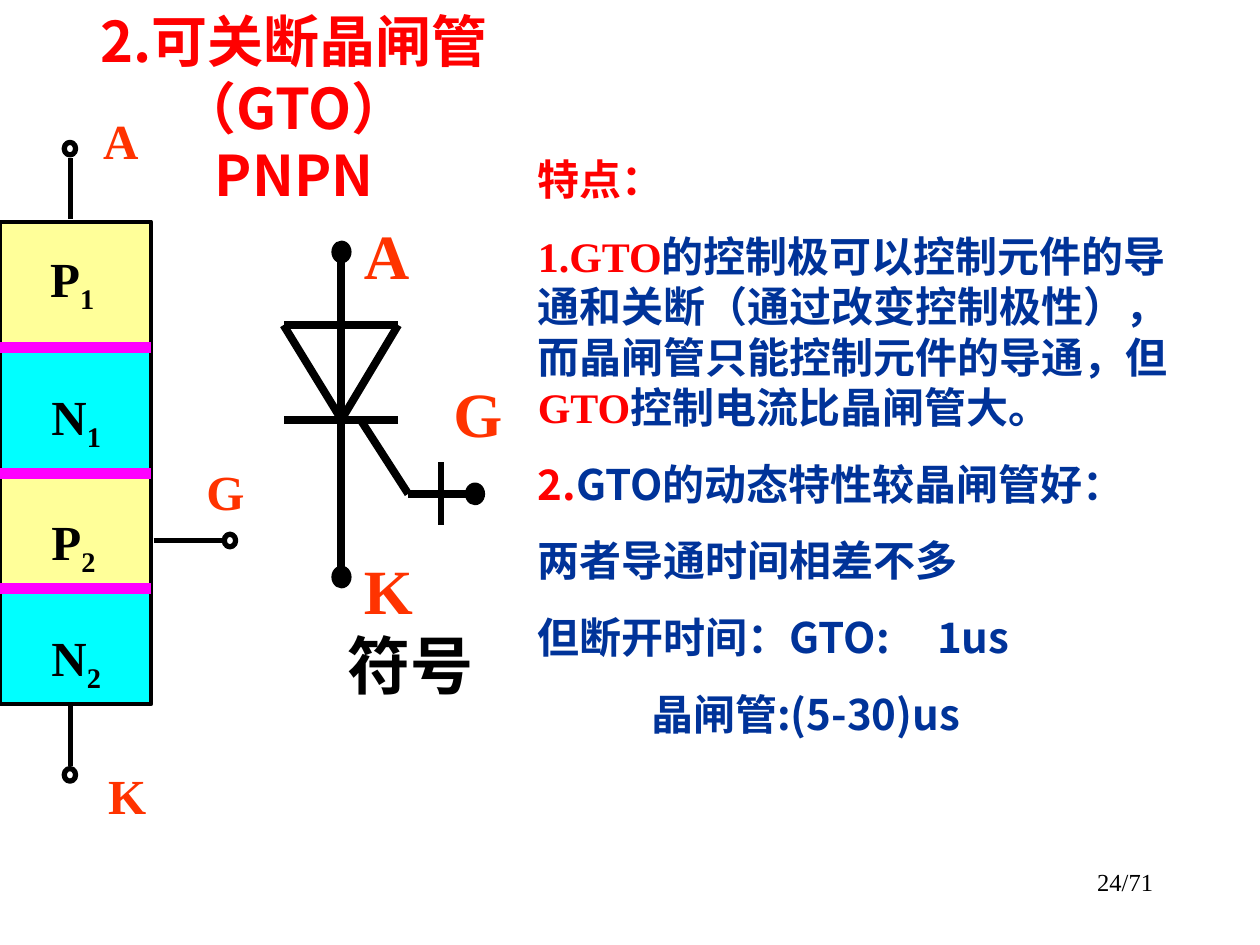
from lxml import etree
from pptx import Presentation
from pptx import util as u
from pptx.dml.color import RGBColor
from pptx.enum import shapes, text
from pptx.oxml.ns import qn

COLORS = {
    "black": "000000", "red": "FF0000", "label": "FF3300", "blue": "003399",
    "p_layer": "FFFF99", "n_layer": "00FFFF", "junction": "FF00FF",
}
LATIN, CJK = "Times New Roman", "Noto Sans CJK SC"


def rgb(name):
    return RGBColor.from_string(COLORS[name])


def write(para, words, size=28, color="black", font=LATIN, bold=True, baseline=None):
    """Add one formatted span to a paragraph."""
    span = para.add_run()
    span.text = words
    span.font.size = u.Pt(size)
    span.font.bold = bold
    span.font.color.rgb = rgb(color)
    span.font.name = font
    props = span.font._element
    etree.SubElement(props, qn("a:ea")).set("typeface", CJK)
    if baseline is not None:
        props.set("baseline", str(baseline * 1000))


class Diagram:
    """Holds the current slide and draws each kind of element on it."""

    def __init__(self, page):
        self.page = page

    def place(self, item, left, top, width, height):
        item.left, item.top = u.Inches(left), u.Inches(top)
        item.width, item.height = u.Inches(width), u.Inches(height)

    def title(self, lines, left, top, width, height, **style):
        box = self.page.shapes.title
        self.place(box, left, top, width, height)
        frame = box.text_frame
        frame.vertical_anchor = text.MSO_ANCHOR.TOP
        frame.auto_size = text.MSO_AUTO_SIZE.NONE
        for index, line in enumerate(lines):
            para = frame.paragraphs[0] if index == 0 else frame.add_paragraph()
            para.alignment = text.PP_ALIGN.CENTER
            write(para, line, **style)

    def text_box(self, left, top, width, height, wrap=True):
        box = self.page.shapes.add_textbox(*map(u.Inches, (left, top, width, height)))
        box.text_frame.word_wrap = wrap
        if not wrap:
            box.text_frame.auto_size = text.MSO_AUTO_SIZE.SHAPE_TO_FIT_TEXT
        return box

    def label(self, words, left, top, width, height, sub=None, wrap=False, **style):
        box = self.text_box(left, top, width, height, wrap)
        para = box.text_frame.paragraphs[0]
        write(para, words, **style)
        if sub:
            write(para, sub, baseline=-25, **style)

    def shape(self, kind, left, top, width, height, fill=None, weight=2.25):
        item = self.page.shapes.add_shape(kind, *map(u.Inches, (left, top, width, height)))
        item.shadow.inherit = False
        if fill:
            item.fill.solid()
            item.fill.fore_color.rgb = rgb(fill)
        else:
            item.fill.background()
        item.line.color.rgb = rgb("black")
        item.line.width = u.Pt(weight)

    def dot(self, x, y, width, height, **style):
        """Draw an ellipse by its centre."""
        self.shape(shapes.MSO_SHAPE.OVAL, x - width / 2, y - height / 2, width, height, **style)

    def line(self, start, end, weight, color="black"):
        link = self.page.shapes.add_connector(
            shapes.MSO_CONNECTOR.STRAIGHT, *map(u.Inches, (*start, *end)))
        link.line.color.rgb = rgb(color)
        link.line.width = u.Pt(weight)
        etree.SubElement(link._element.spPr, qn("a:effectLst"))


def add_features(diagram):
    red, blue = {"color": "red"}, {"color": "blue"}
    blue_cjk = {"color": "blue", "font": CJK}
    features = [
        [("特点：", red)],
        [("1.GTO", red),
         ("的控制极可以控制元件的导通和关断（通过改变控制极性），而", blue),
         ("晶闸管只能控制元件的导通，但", blue_cjk),
         ("GTO", red), ("控制电流比晶闸管大。", blue_cjk)],
        [("2.", {"color": "red", "font": CJK}), ("GTO的动态特性较晶闸管好：", blue_cjk)],
        [("两者导通时间相差不多", blue_cjk)],
        [("但断开时间：GTO:\t1us", blue_cjk)],
        [("晶闸管:(5-30)us", blue_cjk)],
    ]
    frame = diagram.text_box(4.17, 1.17, 5.5, 4.74).text_frame
    for index, spans in enumerate(features):
        para = frame.paragraphs[0] if index == 0 else frame.add_paragraph()
        if index:
            para.space_before = u.Pt(15)
        for words, style in spans:
            write(para, words, size=24, **style)

    # Line up the two turn-off times
    *_, gto_time, thyristor_time = frame.paragraphs
    tabs = etree.SubElement(gto_time._p.get_or_add_pPr(), qn("a:tabLst"))
    etree.SubElement(tabs, qn("a:tab"), pos=str(u.Inches(3.17)), algn="l")
    props = thyristor_time._p.get_or_add_pPr()
    props.set("marL", str(u.Inches(0.9)))
    props.set("indent", "0")


def add_structure(diagram):
    # Layers: name, index, fill, top, bottom, label top
    layers = [
        ("P", "1", "p_layer", 1.76, 2.76, 1.92),
        ("N", "1", "n_layer", 2.76, 3.76, 3.02),
        ("P", "2", "p_layer", 3.76, 4.67, 4.01),
        ("N", "2", "n_layer", 4.67, 5.59, 4.93),
    ]
    for _, _, fill, top, bottom, _ in layers:
        diagram.shape(shapes.MSO_SHAPE.RECTANGLE, 0, top, 1.2, bottom - top, fill=fill)
    for name, index, _, top, _, label_top in layers:
        if top > layers[0][3]:
            diagram.line((0, top), (1.2, top), 6, "junction")
        left = 0.3 if (name, index) == ("P", "1") else 0.31
        diagram.label(name, left, label_top, 0.59, 0.63, sub=index)

    # Leads with open terminals
    terminals = [
        ("A", (0.72, 0.83), (0.56, 1.74), (0.56, 1.25), (0.555, 1.18)),
        ("G", (1.54, 3.61), (1.22, 4.29), (1.78, 4.29), (1.825, 4.29)),
        ("K", (0.76, 6.03), (0.56, 5.59), (0.56, 6.08), (0.555, 6.15)),
    ]
    for name, corner, start, end, centre in terminals:
        diagram.line(start, end, 3)
        diagram.dot(*centre, 0.09, 0.1, weight=3)
        diagram.label(name, *corner, 0.5, 0.57, color="label")


def add_symbol(diagram):
    left, axis, right = 2.25, 2.71, 3.16
    anode, cathode, gate = 2.58, 3.33, 3.92
    strokes = [
        ((right, anode), (left, anode)),
        ((right, anode), (axis, cathode)),
        ((axis, cathode), (left, anode)),
        ((right, cathode), (left, cathode)),
        ((axis, 2), (axis, 4.58)),
        ((2.86, cathode), (3.24, gate)),
        ((3.7, gate), (3.24, gate)),
    ]
    for start, end in strokes:
        diagram.line(start, end, 4.5)
    diagram.line((3.5, 3.67), (3.5, 4.17), 3)

    # Terminals and their names
    terminals = [
        ("A", (2.79, 1.67), (axis, 2)),
        ("K", (2.79, 4.33), (axis, 4.58)),
        ("G", (3.5, 2.92), (3.77, gate)),
    ]
    for name, corner, centre in terminals:
        diagram.dot(*centre, 0.15, 0.17, fill="black", weight=0.75)
        diagram.label(name, *corner, 0.59, 0.7, size=36, color="label")
    diagram.label("符号", 2.66, 4.92, 1.54, 0.7, wrap=True, size=36)


def main():
    deck = Presentation()
    deck.slide_width, deck.slide_height = u.Inches(10), u.Inches(7.5)
    diagram = Diagram(deck.slides.add_slide(deck.slide_layouts[5]))

    diagram.title(["2.可关断晶闸管（GTO）", "PNPN"], 0, 0, 4.67, 1.7,
                  size=32, color="red", font=CJK)
    add_features(diagram)
    add_structure(diagram)
    add_symbol(diagram)

    # Page number
    number = diagram.text_box(7.17, 6.83, 2.08, 0.5).text_frame.paragraphs[0]
    number.alignment = text.PP_ALIGN.RIGHT
    write(number, "24/71", size=14, bold=False)

    deck.save("out.pptx")


if __name__ == "__main__":
    main()
